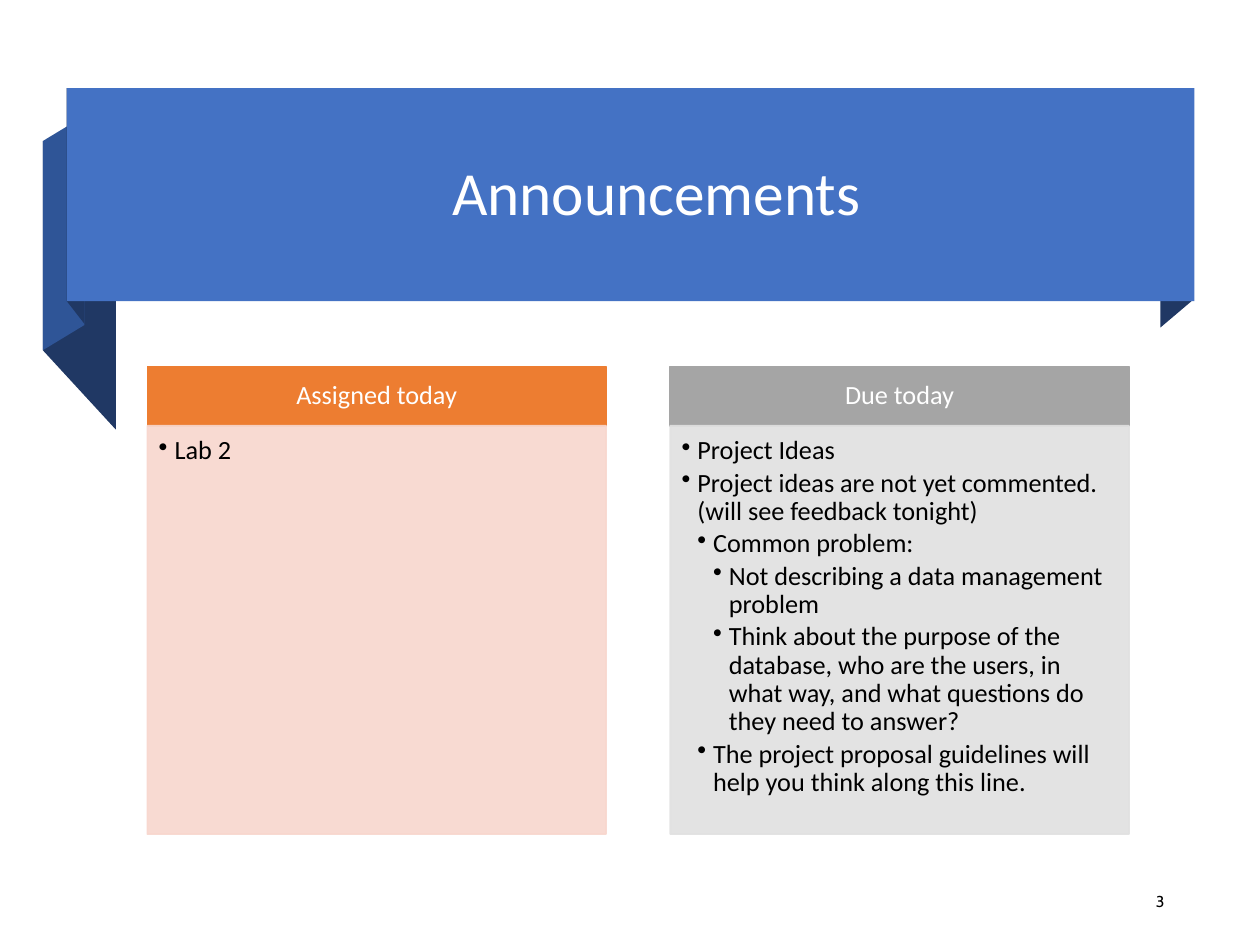
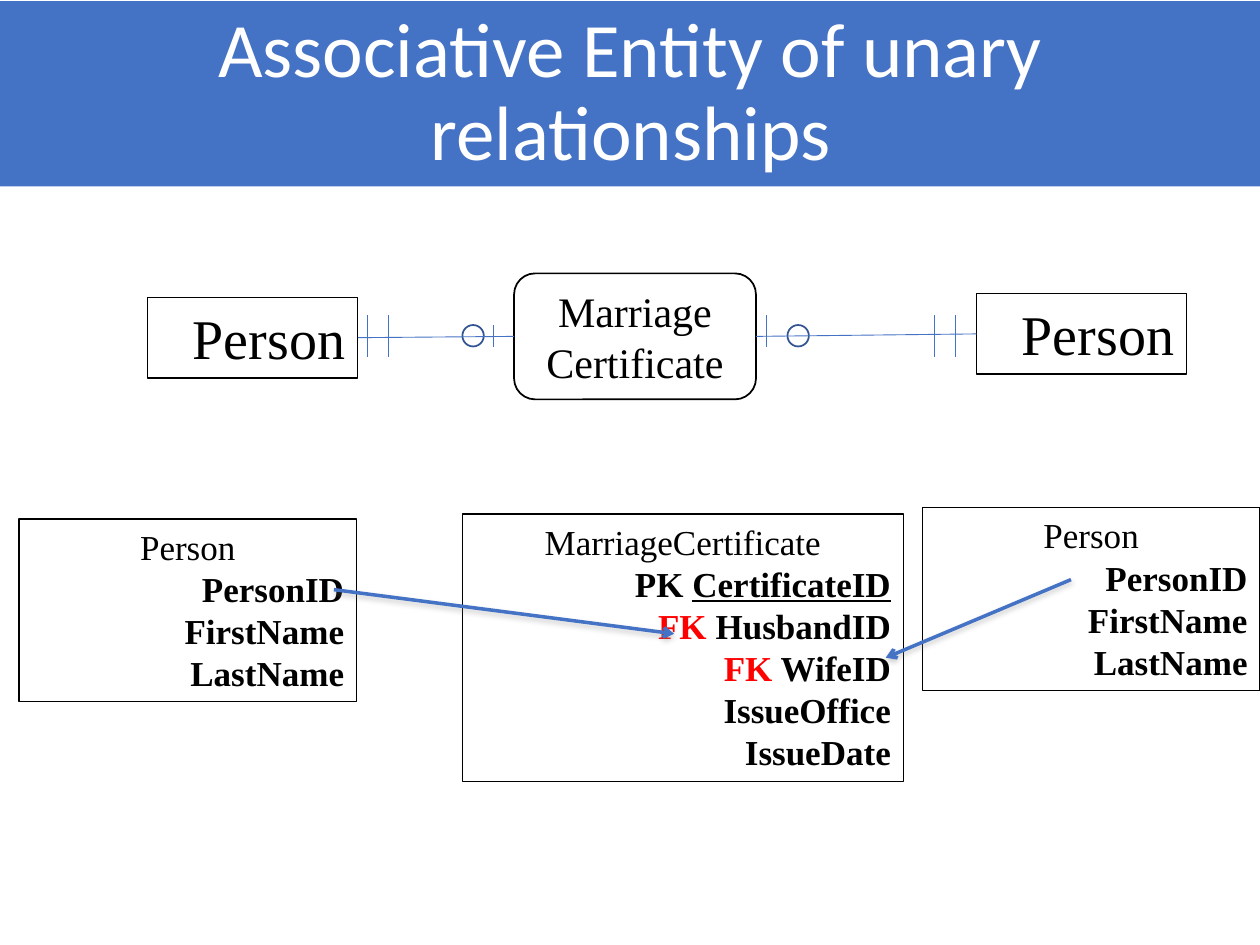
from dataclasses import dataclass

import pptx
import pptx.dml.color
import pptx.enum.shapes
import pptx.enum.text
import pptx.oxml
import pptx.oxml.ns
import pptx.util

Inches = pptx.util.Inches
Pt = pptx.util.Pt
RGB = pptx.dml.color.RGBColor.from_string
PRESET = pptx.enum.shapes.MSO_SHAPE
STRAIGHT = pptx.enum.shapes.MSO_CONNECTOR.STRAIGHT
ALIGN = pptx.enum.text.PP_ALIGN
ANCHOR = pptx.enum.text.MSO_ANCHOR
qn = pptx.oxml.ns.qn


@dataclass(frozen=True)
class Theme:
    blue: str = "4472C4"
    mid_blue: str = "2F5597"
    dark_blue: str = "203864"
    circle_blue: str = "325491"
    orange: str = "ED7D31"
    light_orange: str = "F8D7CE"
    gray: str = "A5A5A5"
    light_gray: str = "E1E1E1"
    black: str = "000000"
    white: str = "FFFFFF"
    red: str = "FF0000"
    sans: str = "Calibri"
    serif: str = "Times New Roman"
    number_font: str = "Cabin"
    banner_title: int = 35
    band_title: int = 44
    entity: int = 32
    associative: int = 24
    attribute: int = 20
    body: int = 15
    number: int = 9


theme = Theme()


def add_box(slide, preset, place, fill=None, line=None, line_width=1):
    shape = slide.shapes.add_shape(preset, *[Inches(length) for length in place])
    shape.shadow.inherit = False
    if fill:
        shape.fill.solid()
        shape.fill.fore_color.rgb = RGB(fill)
    else:
        shape.fill.background()
    if line:
        shape.line.color.rgb = RGB(line)
        shape.line.width = Pt(line_width)
    else:
        shape.line.fill.background()
    return shape


def write_text(shape, paragraphs, font, size, color, align=ALIGN.CENTER,
               anchor=ANCHOR.MIDDLE, spacing=None, after=None, levels=None):
    """Each paragraph is a list of runs; a run is (text, color, underline)."""
    frame = shape.text_frame
    frame.word_wrap = True
    frame.vertical_anchor = anchor
    for index, runs in enumerate(paragraphs):
        paragraph = frame.paragraphs[0] if index == 0 else frame.add_paragraph()
        paragraph.alignment = align
        paragraph.line_spacing = spacing
        paragraph.space_after = after
        if levels:
            properties = paragraph._p.get_or_add_pPr()
            properties.set("marL", str(Inches(0.125 * levels[index])))
            properties.set("indent", str(Inches(-0.125)))
            bullet = pptx.oxml.parse_xml(
                f'<a:buChar {pptx.oxml.ns.nsdecls("a")} char="•"/>')
            properties.append(bullet)
        paragraph.font.name = font
        paragraph.font.size = Pt(size)
        paragraph.font.color.rgb = RGB(color)
        for text, run_color, underline in runs:
            run = paragraph.add_run()
            run.text = text
            if run_color:
                run.font.color.rgb = RGB(run_color)
            if underline:
                run.font.underline = True
    return frame


presentation = pptx.Presentation()
presentation.slide_width = Inches(10)
presentation.slide_height = Inches(7.5)
blank_layout = presentation.slide_layouts[6]

# Slide 1: announcements
slide = presentation.slides.add_slide(blank_layout)

# Folded ribbon behind the banner
ribbon_folds = [
    (theme.dark_blue, [(9.47, 2.38), (9.21, 2.6), (9.21, 0.91), (9.47, 0.7)]),
    (theme.dark_blue, [(0.92, 3.41), (0.34, 2.78), (0.34, 1.12), (0.92, 1.75)]),
    (theme.mid_blue, [(0.67, 2.58), (0.34, 2.78), (0.34, 1.12), (0.67, 0.92)]),
    (theme.dark_blue, [(0.67, 2.57), (0.53, 2.39), (0.53, 0.7), (0.67, 0.89)]),
]
for color, corners in ribbon_folds:
    points = [(Inches(x), Inches(y)) for x, y in corners]
    builder = slide.shapes.build_freeform(*points[0])
    builder.add_line_segments(points[1:], close=True)
    fold = builder.convert_to_shape()
    fold.shadow.inherit = False
    fold.fill.solid()
    fold.fill.fore_color.rgb = RGB(color)
    fold.line.fill.background()
add_box(slide, PRESET.RECTANGLE, (0.53, 0.7, 8.95, 1.69), theme.blue)

# Title and slide number
title = slide.shapes.add_textbox(Inches(1.11), Inches(0.83), Inches(8.2), Inches(1.45))
write_text(title, [[("Announcements", None, False)]], theme.sans,
           theme.banner_title, theme.white, spacing=0.9)
number = slide.shapes.add_textbox(Inches(8.78), Inches(6.98), Inches(0.56), Inches(0.35))
write_text(number, [[("3", None, False)]], theme.number_font, theme.number,
           theme.black, align=ALIGN.RIGHT)

# Two columns, each a header over a bulleted list of (level, text)
columns = [
    ("Assigned today", theme.orange, theme.light_orange, [(1, "Lab 2")]),
    ("Due today", theme.gray, theme.light_gray, [
        (1, "Project Ideas"),
        (1, "Project ideas are not yet commented. (will see feedback tonight)"),
        (2, "Common problem:"),
        (3, "Not describing a data management problem"),
        (3, "Think about the purpose of the database, who are the users, "
            "in what way, and what questions do they need to answer?"),
        (2, "The project proposal guidelines will help you think along this line."),
    ]),
]
for index, (heading, color, light_color, items) in enumerate(columns):
    left = 1.17 + 4.15 * index
    header = add_box(slide, PRESET.RECTANGLE, (left, 2.91, 3.64, 0.47), color, color)
    write_text(header, [[(heading, None, False)]], theme.sans, theme.body,
               theme.white, spacing=0.9)
    panel = add_box(slide, PRESET.RECTANGLE, (left, 3.38, 3.64, 3.24),
                    light_color, light_color)
    for panel_color in panel._element.spPr.iter(qn("a:srgbClr")):
        panel_color.append(pptx.oxml.parse_xml(
            f'<a:alpha {pptx.oxml.ns.nsdecls("a")} val="90000"/>'))
    frame = write_text(panel, [[(text, None, False)] for level, text in items],
                       theme.sans, theme.body, theme.black, ALIGN.LEFT, ANCHOR.TOP,
                       spacing=0.9, after=Pt(2.25),
                       levels=[level for level, text in items])
    frame.margin_left = frame.margin_top = Inches(0.09)
    frame.margin_right = Inches(0.12)
    frame.margin_bottom = Inches(0.13)

# Slide 2: associative entity
slide = presentation.slides.add_slide(blank_layout)
band = add_box(slide, PRESET.RECTANGLE, (0, 0.01, 10.01, 1.47), theme.blue)
write_text(band, [[("Associative Entity of unary relationships", None, False)]],
           theme.sans, theme.band_title, theme.white, spacing=0.9)

# Entities in the diagram
persons = []
for left, top in [(1.17, 2.36), (7.75, 2.33)]:
    person = add_box(slide, PRESET.RECTANGLE, (left, top, 1.67, 0.64),
                     line=theme.black, line_width=0.75)
    write_text(person, [[("Person", None, False)]], theme.serif, theme.entity,
               theme.black, ALIGN.RIGHT, ANCHOR.TOP)
    persons.append(person)
certificate = add_box(slide, PRESET.ROUNDED_RECTANGLE, (4.08, 2.17, 1.92, 1),
                      line=theme.black)
write_text(certificate, [[("Marriage Certificate", None, False)]], theme.serif,
           theme.associative, theme.black)

# Tables of attributes: a centred name over bold, right-aligned attributes
person_attributes = [[(name, None, False)]
                     for name in ("PersonID", "FirstName", "LastName")]
certificate_attributes = [
    [("PK ", None, False), ("CertificateID", None, True)],
    [("FK", theme.red, False), (" HusbandID", None, False)],
    [("FK", theme.red, False), (" WifeID", None, False)],
    [("IssueOffice", None, False)],
    [("IssueDate", None, False)],
]
attribute_tables = [
    ("Person", (0.15, 4.12, 2.68, 1.45), person_attributes),
    ("MarriageCertificate", (3.67, 4.08, 3.5, 2.12), certificate_attributes),
    ("Person", (7.32, 4.03, 2.68, 1.45), person_attributes),
]
for name, place, attributes in attribute_tables:
    box = add_box(slide, PRESET.RECTANGLE, place, line=theme.black, line_width=0.75)
    frame = write_text(box, [[(name, None, False)]] + attributes, theme.serif,
                       theme.attribute, theme.black, ALIGN.RIGHT, ANCHOR.TOP)
    frame.paragraphs[0].alignment = ALIGN.CENTER
    for paragraph in frame.paragraphs[1:]:
        paragraph.font.bold = True

# Optional marks
for left in (3.67, 6.25):
    add_box(slide, PRESET.OVAL, (left, 2.58, 0.17, 0.17), line=theme.circle_blue)

# Relationship lines, cardinality ticks and key arrows
relationships = [(2.84, 2.68, 4.08, 2.67), (6, 2.67, 7.75, 2.65)]
ticks = [(x, 2.5, x, 2.83) for x in (2.92, 3.08, 7.42, 7.58)]
ticks += [(3.92, 2.58, 3.92, 2.75), (6.08, 2.5, 6.08, 2.75)]
key_arrows = [(2.65, 4.68, 5.35, 5.03), (8.5, 4.6, 7.03, 5.22)]
joins = {relationships[0]: (persons[0], certificate),
         relationships[1]: (certificate, persons[1])}
arrow_shadow = ('<a:outerShdw blurRad="40000" dist="20000" dir="5400000" rotWithShape="0">'
                '<a:srgbClr val="808080"><a:alpha val="38000"/></a:srgbClr></a:outerShdw>')
for ends in relationships + ticks + key_arrows:
    is_arrow = ends in key_arrows
    connector = slide.shapes.add_connector(STRAIGHT, *[Inches(end) for end in ends])
    if ends in joins:
        start, finish = joins[ends]
        connector.begin_connect(start, 3)
        connector.end_connect(finish, 1)
    connector.line.color.rgb = RGB(theme.blue)
    connector.line.width = Pt(2 if is_arrow else 0.5)
    properties = connector._element.spPr
    if is_arrow:
        properties.find(qn("a:ln")).append(pptx.oxml.parse_xml(
            f'<a:tailEnd {pptx.oxml.ns.nsdecls("a")} type="arrow"/>'))
    properties.append(pptx.oxml.parse_xml(
        f'<a:effectLst {pptx.oxml.ns.nsdecls("a")}>'
        f'{arrow_shadow if is_arrow else ""}</a:effectLst>'))

presentation.save("out.pptx")
